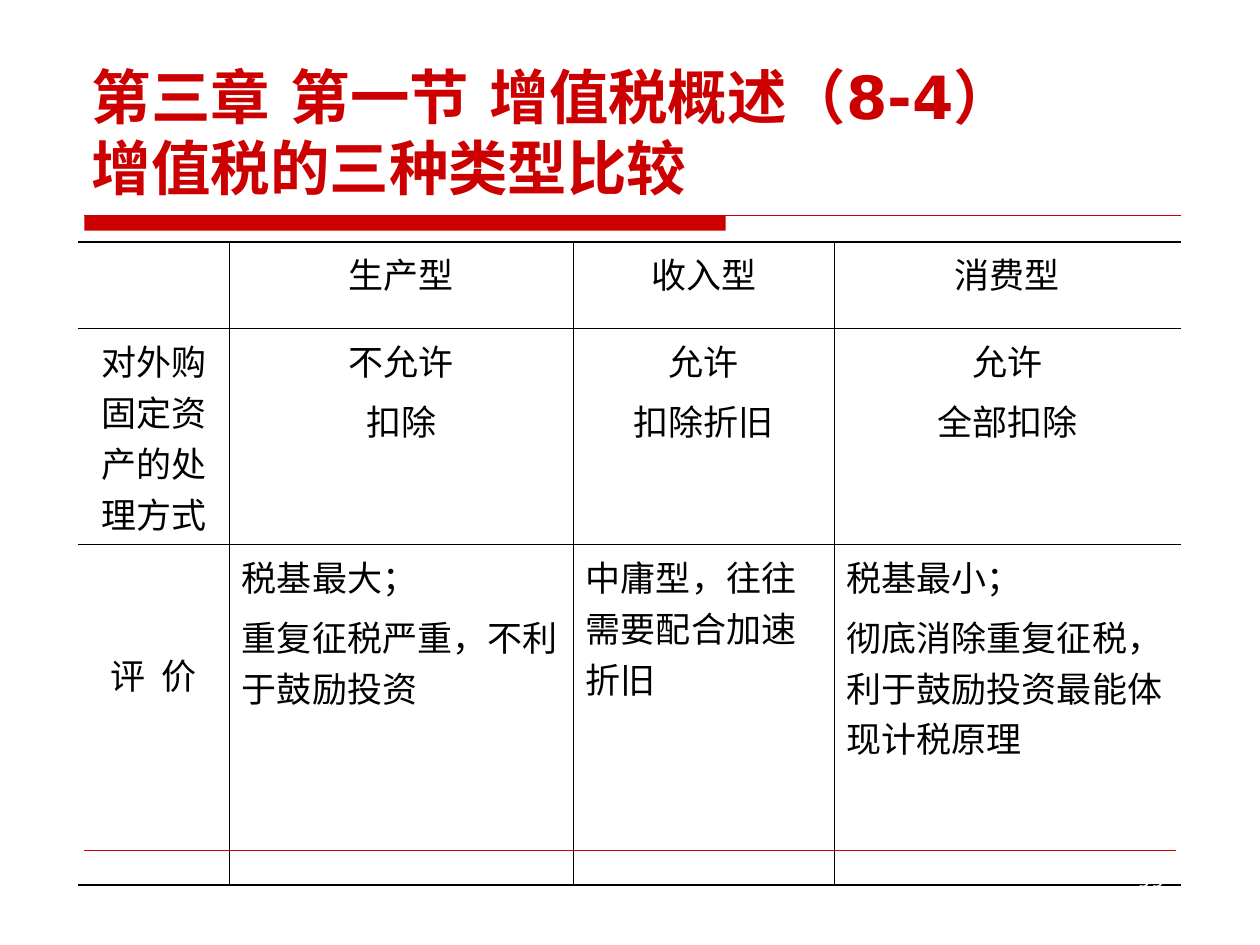
from dataclasses import dataclass

import pptx
import pptx.dml.color
import pptx.enum.shapes
import pptx.enum.text
import pptx.oxml
import pptx.oxml.ns
import pptx.util
from pptx.util import Inches

COLORS = {"accent": "CC0000", "ink": "000000", "page_number": "FFFFFF"}
TITLE_FONT = "DejaVu Sans"
TABLE_FONT = "Noto Sans CJK SC"
THIN, THICK = 0.45, 1.08
COLUMN_WIDTHS = (1.2, 2.73, 2.07, 2.75)
ROW_HEIGHTS = (0.69, 1.44, 2.7)
Align = pptx.enum.text.PP_ALIGN


@dataclass(frozen=True)
class Entry:
    lines: tuple[str, ...] = ()
    aligns: tuple[Align, ...] = (Align.CENTER, Align.CENTER)
    top_margin: float = 0.05


@dataclass(frozen=True)
class Rule:
    left: float
    right: float
    y: float
    weight: float


EVALUATION = (Align.JUSTIFY, Align.LEFT)
COMPARISON = (
    (Entry(), Entry(("生产型",)), Entry(("收入型",)), Entry(("消费型",))),
    (
        Entry(("对外购固定资产的处理方式",)),
        Entry(("不允许", "扣除")),
        Entry(("允许", "扣除折旧")),
        Entry(("允许", "全部扣除")),
    ),
    (
        Entry(("评  价",), top_margin=0.83),
        Entry(("税基最大；", "重复征税严重，不利于鼓励投资"), EVALUATION),
        Entry(("中庸型，往往需要配合加速折旧",), (Align.LEFT,)),
        Entry(("税基最小；", "彻底消除重复征税，利于鼓励投资最能体现计税原理"), EVALUATION),
    ),
)
RULES = (Rule(0.67, 9.37, 1.71, 0.75), Rule(0.67, 9.33, 6.75, 0.25))


def rgb(name: str) -> pptx.dml.color.RGBColor:
    return pptx.dml.color.RGBColor.from_string(COLORS[name])


def format_runs(paragraph, size: float, font: str, color: str, bold: bool = False) -> None:
    for run in paragraph.runs:
        run.font.size = pptx.util.Pt(size)
        run.font.name = font
        run.font.bold = bold
        run.font.color.rgb = rgb(color)
        east_asian = pptx.oxml.parse_xml(
            f'<a:ea {pptx.oxml.ns.nsdecls("a")} typeface="{font}"/>'
        )
        run.font._element.find(pptx.oxml.ns.qn("a:latin")).addnext(east_asian)


def draw_rule(slide, rule: Rule) -> None:
    line = slide.shapes.add_connector(
        pptx.enum.shapes.MSO_CONNECTOR.STRAIGHT,
        Inches(rule.left), Inches(rule.y), Inches(rule.right), Inches(rule.y),
    )
    line.line.color.rgb = rgb("accent")
    line.line.width = pptx.util.Pt(rule.weight)
    line._element.spPr.append(
        pptx.oxml.parse_xml(f'<a:effectLst {pptx.oxml.ns.nsdecls("a")}/>')
    )


def draw_title_bar(slide) -> None:
    bar = slide.shapes.add_shape(
        pptx.enum.shapes.MSO_SHAPE.RECTANGLE,
        Inches(0.67), Inches(1.71), Inches(5.09), Inches(0.12),
    )
    bar.shadow.inherit = False
    bar.fill.solid()
    bar.fill.fore_color.rgb = rgb("accent")
    bar.line.fill.background()


def set_border(cell, side: str, weight: float) -> None:
    paint = (
        f'<a:solidFill><a:srgbClr val="{COLORS["ink"]}"/></a:solidFill>'
        if weight else "<a:noFill/>"
    )
    cell._tc.get_or_add_tcPr().append(pptx.oxml.parse_xml(
        f'<a:{side} {pptx.oxml.ns.nsdecls("a")} w="{pptx.util.Pt(weight)}">{paint}</a:{side}>'
    ))


def fill_cell(cell, entry: Entry) -> None:
    cell.margin_left = cell.margin_right = Inches(0.1)
    cell.margin_top, cell.margin_bottom = Inches(entry.top_margin), Inches(0.05)
    cell.fill.background()
    cell.text_frame.text = "\n".join(entry.lines)
    for paragraph, align in zip(cell.text_frame.paragraphs, entry.aligns):
        paragraph.alignment = align
        paragraph.space_before = pptx.util.Pt(5)
        format_runs(paragraph, 20, TABLE_FONT, "ink")


def draw_comparison(slide) -> None:
    last_row, last_column = len(ROW_HEIGHTS) - 1, len(COLUMN_WIDTHS) - 1
    table = slide.shapes.add_table(
        len(ROW_HEIGHTS), len(COLUMN_WIDTHS),
        Inches(0.62), Inches(1.92), Inches(sum(COLUMN_WIDTHS)), Inches(sum(ROW_HEIGHTS)),
    ).table
    table.first_row = table.horz_banding = False
    for column, width in zip(table.columns, COLUMN_WIDTHS):
        column.width = Inches(width)
    for row, height in zip(table.rows, ROW_HEIGHTS):
        row.height = Inches(height)
    for r, entries in enumerate(COMPARISON):
        for c, entry in enumerate(entries):
            cell = table.cell(r, c)
            set_border(cell, "lnL", THIN if c > 0 else 0)
            set_border(cell, "lnR", THIN if c < last_column else 0)
            set_border(cell, "lnT", THIN if r > 0 else THICK)
            set_border(cell, "lnB", THIN if r < last_row else THICK)
            fill_cell(cell, entry)


def write_title(slide) -> None:
    title = slide.shapes.title
    title.left, title.top = Inches(0.63), Inches(0.33)
    title.width, title.height = Inches(8.75), Inches(1.33)
    frame = title.text_frame
    frame.text = "第三章 第一节 增值税概述（8-4）\v增值税的三种类型比较"
    frame.auto_size = pptx.enum.text.MSO_AUTO_SIZE.NONE
    frame.vertical_anchor = pptx.enum.text.MSO_ANCHOR.BOTTOM
    frame.paragraphs[0].alignment = Align.LEFT
    format_runs(frame.paragraphs[0], 34, TITLE_FONT, "accent", bold=True)


def write_page_number(slide) -> None:
    frame = slide.shapes.add_textbox(
        Inches(7.17), Inches(6.83), Inches(2.17), Inches(0.52)
    ).text_frame
    frame.word_wrap = True
    frame.text = "99"
    frame.paragraphs[0].alignment = Align.RIGHT
    format_runs(frame.paragraphs[0], 12, TITLE_FONT, "page_number")


def main() -> None:
    deck = pptx.Presentation()
    deck.slide_width, deck.slide_height = Inches(10), Inches(7.5)
    slide = deck.slides.add_slide(deck.slide_layouts.get_by_name("Title Only"))
    draw_title_bar(slide)
    for rule in RULES:
        draw_rule(slide, rule)
    write_title(slide)
    draw_comparison(slide)
    write_page_number(slide)
    deck.save("out.pptx")


if __name__ == "__main__":
    main()
